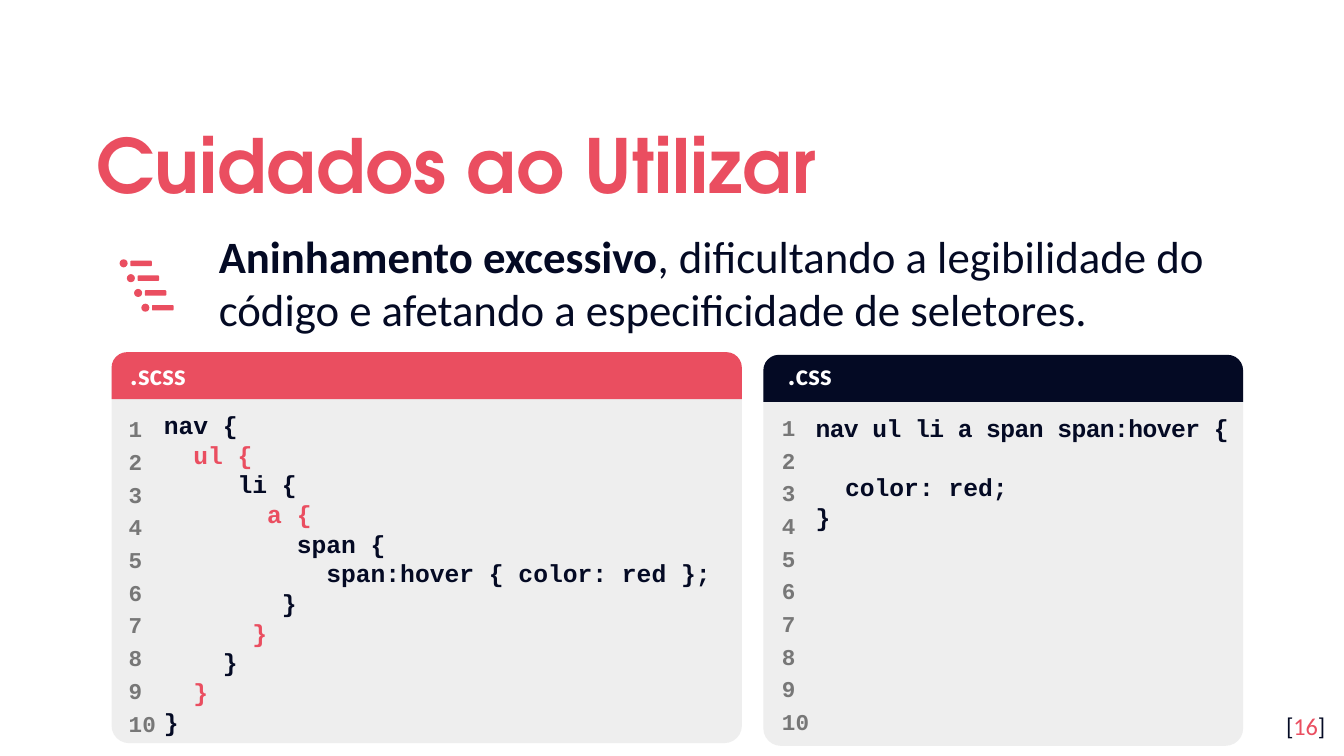
import dataclasses
import typing

import pptx
import pptx.dml.color
import pptx.enum.shapes
import pptx.enum.text
import pptx.slide
import pptx.util

Inches = pptx.util.Inches
Pt = pptx.util.Pt
Shape = pptx.enum.shapes.MSO_SHAPE
Align = pptx.enum.text.PP_ALIGN
Anchor = pptx.enum.text.MSO_ANCHOR
Box = tuple[float, float, float, float]


@dataclasses.dataclass(frozen=True)
class Theme:
    red: str = "EA4E60"
    navy: str = "040A24"
    pale: str = "EEEEEE"
    gray: str = "777777"
    white: str = "FFFFFF"
    head: str = "TeX Gyre Adventor"
    body: str = "Calibri"
    mono: str = "Courier New"
    title: float = 40
    lead: float = 24
    label: float = 16
    code: float = 13.2
    count: float = 12.1
    page: float = 13


THEME = Theme()


class Run(typing.NamedTuple):
    text: str
    color: str = THEME.navy
    bold: bool = True
    track: int = 0


class Line(typing.NamedTuple):
    runs: list[Run]
    before: float = 0


@dataclasses.dataclass(frozen=True)
class Panel:
    left: float
    top: float
    width: float
    label: str
    color: str
    count: tuple[float, float]
    code: list[Line]


def tint(text: str) -> pptx.dml.color.RGBColor:
    return pptx.dml.color.RGBColor.from_string(text)


def place(shape: typing.Any, box: Box) -> None:
    shape.left, shape.top, shape.width, shape.height = map(Inches, box)


def write(shape: typing.Any, lines: list[Line], *, size: float, font: str = THEME.body,
          align: Align = Align.LEFT, anchor: Anchor = Anchor.TOP, inset: float = 0.05,
          right: float = 0.1, pitch: typing.Any = None, after: float = 0) -> None:
    frame = shape.text_frame
    frame.word_wrap = True
    frame.auto_size = pptx.enum.text.MSO_AUTO_SIZE.NONE
    frame.vertical_anchor = anchor
    frame.margin_left, frame.margin_right = Inches(0.1), Inches(right)
    frame.margin_top = frame.margin_bottom = Inches(inset)
    for at, line in enumerate(lines):
        para = frame.add_paragraph() if at else frame.paragraphs[0]
        para.alignment = align
        para.line_spacing = pitch
        para.space_before, para.space_after = Pt(line.before), Pt(after)
        for part in line.runs:
            run = para.add_run()
            run.text = part.text
            run.font.name, run.font.size = font, Pt(size)
            run.font.bold = part.bold
            run.font.color.rgb = tint(part.color)
            if part.track:
                run.font._element.set("spc", str(part.track))


def put(slide: pptx.slide.Slide, box: Box, lines: list[Line], **form: typing.Any) -> None:
    write(slide.shapes.add_textbox(*map(Inches, box)), lines, **form)


def draw(slide: pptx.slide.Slide, kind: Shape, box: Box, color: str,
         bend: float | None = None) -> None:
    shape = slide.shapes.add_shape(kind, *map(Inches, box))
    shape.shadow.inherit = False
    shape.fill.solid()
    shape.fill.fore_color.rgb = tint(color)
    shape.line.fill.background()
    if bend is not None:
        shape.adjustments[0] = bend


def icon(slide: pptx.slide.Slide, left: float, top: float) -> None:
    for step in range(4):
        x, y = left + 0.054 * step, top + 0.11 * step
        draw(slide, Shape.OVAL, (x, y, 0.06, 0.06), THEME.red)
        draw(slide, Shape.ROUNDED_RECTANGLE, (x + 0.08, y + 0.01, 0.16, 0.04), THEME.red)


def panel(slide: pptx.slide.Slide, item: Panel) -> None:
    x, y, w = item.left, item.top, item.width
    draw(slide, Shape.ROUNDED_RECTANGLE, (x, y + 0.01, w, 2.9), THEME.pale, 0.045)
    draw(slide, Shape.ROUND_2_SAME_RECTANGLE, (x, y, w, 0.35), item.color, 0.33)
    put(slide, (x - 0.04, 2.6, 0.77, 0.37), [Line([Run(item.label, THEME.white)])],
        size=THEME.label, align=Align.CENTER)
    put(slide, (x + 0.29, y + 0.38, w - 0.3, 0.23 * len(item.code) + 0.1), item.code,
        size=THEME.code, font=THEME.mono, right=0, pitch=Pt(15.9))
    rows = [Line([Run(str(row), THEME.gray)]) for row in range(1, 11)]
    put(slide, (*item.count, 0.46, 2.53), rows,
        size=THEME.count, font=THEME.mono, pitch=Pt(14.5), after=3)


SCSS = [
    ("nav {", THEME.navy),
    ("  ul {", THEME.red),
    ("     li {", THEME.navy),
    ("       a {", THEME.red),
    ("         span {", THEME.navy),
    ("           span:hover { color: red };", THEME.navy),
    ("        }", THEME.navy),
    ("      }", THEME.red),
    ("    }", THEME.navy),
    ("  }", THEME.red),
    ("}", THEME.navy),
]
CSS = [
    Line([Run("nav ul li a span span:hover {", track=-30)]),
    Line([Run("  color: red;")], before=15.9),
    Line([Run("}")]),
]
PANELS = [
    Panel(0.83, 2.62, 4.69, ".scss", THEME.red, (0.86, 3.04),
          [Line([Run(text, color)]) for text, color in SCSS]),
    Panel(5.68, 2.64, 3.57, ".css", THEME.navy, (5.72, 3.03), CSS),
]


def main() -> None:
    deck = pptx.Presentation()
    deck.slide_width = Inches(10)
    deck.slide_height = deck.slide_width * 9 // 16
    slide = deck.slides.add_slide(deck.slide_layouts[5])
    title = slide.shapes.title
    place(title, (0.62, 0.71, 8.74, 0.92))
    write(title, [Line([Run("Cuidados ao Utilizar", THEME.red)])], size=THEME.title,
          font=THEME.head, anchor=Anchor.MIDDLE, inset=0.1, pitch=1.15)
    put(slide, (9.36, 5.19, 0.6, 0.43),
        [Line([Run("[", bold=False), Run("16", THEME.red, False), Run("]", bold=False)])],
        size=THEME.page, align=Align.RIGHT, inset=0.1)
    put(slide, (1.53, 1.65, 7.72, 0.91),
        [Line([Run("Aninhamento excessivo"),
               Run(", dificultando a legibilidade do código e afetando "
                   "a especificidade de seletores.", bold=False)])],
        size=THEME.lead)
    icon(slide, 0.89, 1.93)
    for item in PANELS:
        panel(slide, item)
    deck.save("out.pptx")


if __name__ == "__main__":
    main()
